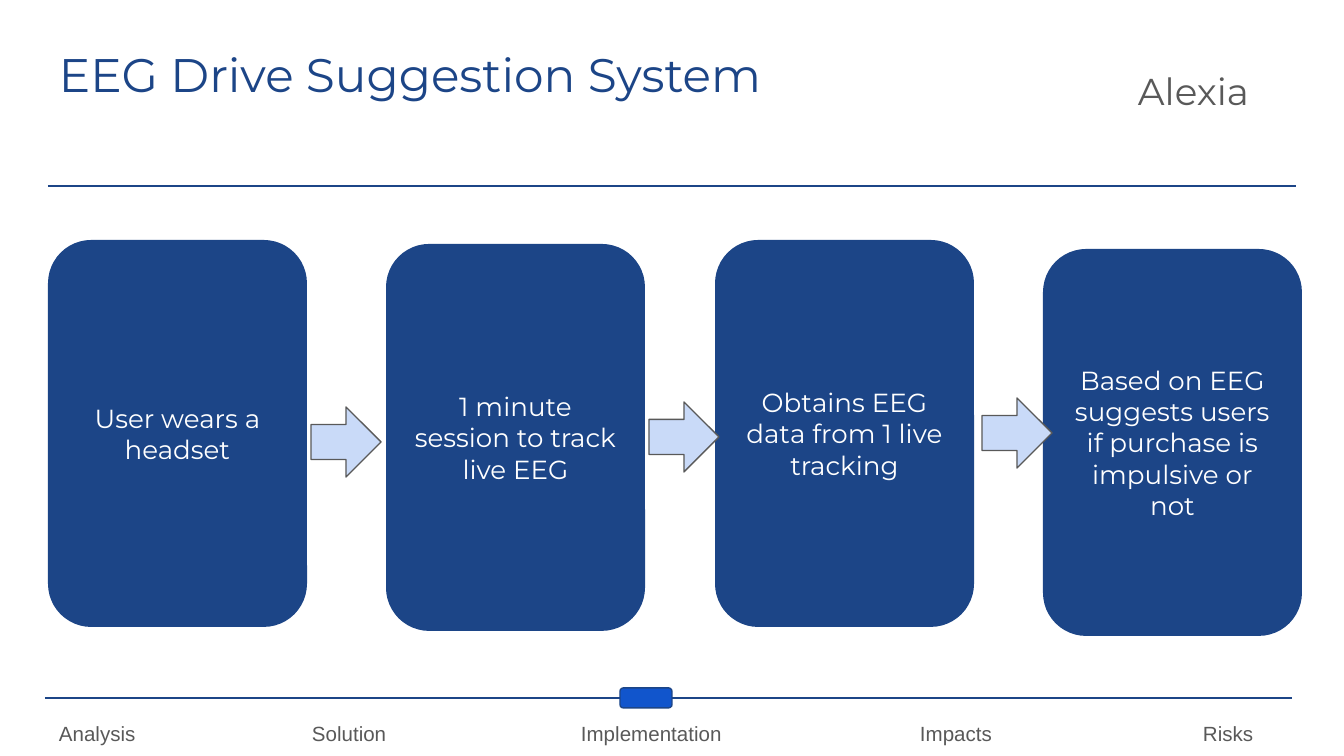
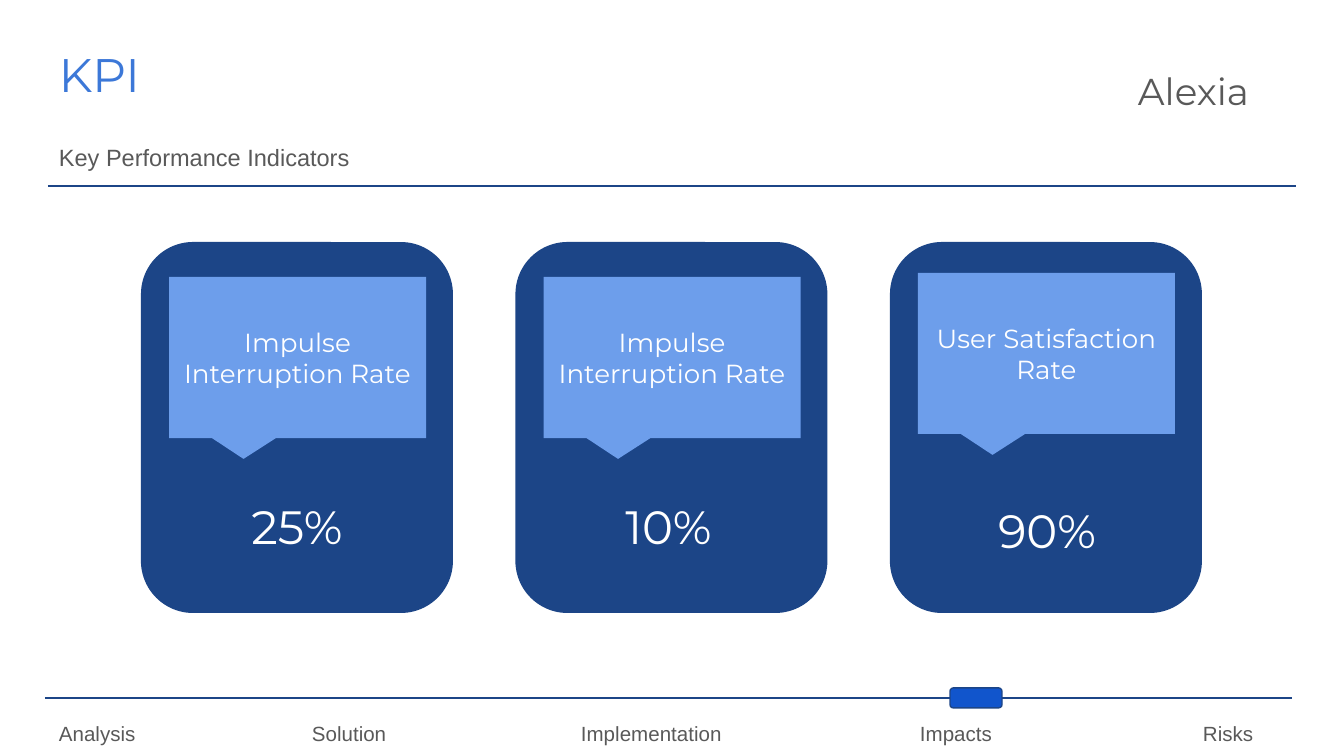
import pptx
import pptx.util
import pptx.dml.color
import pptx.enum.shapes
import pptx.enum.text
import pptx.oxml
import pptx.oxml.ns
import lxml.etree

RGB = pptx.dml.color.RGBColor
SHAPE = pptx.enum.shapes.MSO_SHAPE
ALIGN = pptx.enum.text.PP_ALIGN
ANCHOR = pptx.enum.text.MSO_ANCHOR

NAVY = RGB(0x1C, 0x45, 0x87)
BLUE = RGB(0x3C, 0x78, 0xD8)
MARKER_BLUE = RGB(0x11, 0x55, 0xCC)
SKY = RGB(0x6D, 0x9E, 0xEB)
PALE = RGB(0xC9, 0xDA, 0xF8)
GREY = RGB(0x59, 0x59, 0x59)
WHITE = RGB(0xFF, 0xFF, 0xFF)

HEADING_FONT = "Montserrat"
BODY_FONT = "Arial"
PX_PER_INCH = 134.4
INSET = 13
ROUNDING = 0.167

# Section names with their left edges inside the footer text
SECTIONS = {"Analysis": 0, "Solution": 253, "Implementation": 522,
            "Impacts": 861, "Risks": 1144}
MARKER_LEFT = {"Implementation": 620, "Impacts": 950}


def px(length):
    return pptx.util.Emu(round(length * 914400 / PX_PER_INCH))


def set_text(shape, text, size, color, font=HEADING_FONT, align=ALIGN.LEFT,
             anchor=ANCHOR.TOP, spacing=None, tabs=()):
    frame = shape.text_frame
    frame.word_wrap = True
    frame.vertical_anchor = anchor
    frame.margin_left = frame.margin_right = px(INSET)
    frame.margin_top = frame.margin_bottom = px(INSET)
    frame.text = text
    paragraph = frame.paragraphs[0]
    paragraph.alignment = align
    if spacing:
        paragraph.line_spacing = spacing
    if tabs:
        qn = pptx.oxml.ns.qn
        tab_list = lxml.etree.SubElement(paragraph._p.get_or_add_pPr(), qn("a:tabLst"))
        for stop in tabs:
            lxml.etree.SubElement(tab_list, qn("a:tab"), pos=str(px(stop)), algn="l")
    for run in paragraph.runs:
        run.font.name = font
        run.font.size = pptx.util.Pt(size)
        run.font.color.rgb = color


def add_text(slide, box, text, size, color, **style):
    set_text(slide.shapes.add_textbox(*map(px, box)), text, size, color, **style)


def add_block(slide, kind, box, fill, outline=None, adjustments=()):
    block = slide.shapes.add_shape(kind, *map(px, box))
    block.shadow.inherit = False
    block.fill.solid()
    block.fill.fore_color.rgb = fill
    if outline is None:
        block.line.fill.background()
    else:
        block.line.color.rgb = outline
        block.line.width = pptx.util.Pt(0.75)
    for index, value in enumerate(adjustments):
        block.adjustments[index] = value
    return block


def add_rule(slide, left, top, width):
    rule = slide.shapes.add_connector(
        pptx.enum.shapes.MSO_CONNECTOR.STRAIGHT,
        px(left), px(top), px(left + width), px(top))
    rule.line.color.rgb = NAVY
    rule.line.width = pptx.util.Pt(1.5)
    lxml.etree.SubElement(rule._element.spPr, pptx.oxml.ns.qn("a:effectLst"))


def add_header(slide, box, title, color, subtitle=None):
    left, top, width, height = box
    add_text(slide, (left, top, width, 85), title, 25.2, color)
    if subtitle:
        add_text(slide, (left, top + 100, width, 55), subtitle, 12.6, GREY,
                 font=BODY_FONT, spacing=0.95)
    add_rule(slide, left + 2, top + height, 1248)
    # Presenter
    add_text(slide, (left + width - 174, top + 28, 174, 89), "Alexia", 20, GREY,
             spacing=0.9)


def add_footer(slide, box, section):
    left, top, width, height = box
    add_rule(slide, left - 1, top, 1247)
    add_text(slide, (left, top + 13, width, height), "\t".join(SECTIONS), 11, GREY,
             font=BODY_FONT, spacing=0.95, tabs=list(SECTIONS.values())[1:])
    # Progress marker
    add_block(slide, SHAPE.ROUNDED_RECTANGLE, (MARKER_LEFT[section], top - 10, 52, 20),
              MARKER_BLUE, NAVY, [ROUNDING])


def add_frame(deck, title, color, section, subtitle=None):
    slide = deck.slides.add_slide(deck.slide_layouts[6])
    add_header(slide, (46, 32, 1253, 154), title, color, subtitle)
    add_footer(slide, (46, 698, 1253, 55), section)
    return slide


def add_steps(slide, box):
    left, top, width, height = box
    # Offset of each step from the corner of the region, and its text
    steps = [
        (0, 0, "User wears a headset"),
        (338, 4, "1 minute session to track live EEG"),
        (667, 0, "Obtains EEG data from 1 live tracking"),
        (995, 9, "Based on EEG suggests users if purchase is impulsive or not"),
    ]
    step_width = width - steps[-1][0]
    for across, down, text in steps:
        step = add_block(slide, SHAPE.ROUNDED_RECTANGLE,
                         (left + across, top + down, step_width, height),
                         NAVY, adjustments=[ROUNDING])
        set_text(step, text, 14, WHITE, align=ALIGN.CENTER, anchor=ANCHOR.MIDDLE)
    # Arrows between the steps
    for across, down in [(263, 167), (601, 162), (934, 158)]:
        add_block(slide, SHAPE.RIGHT_ARROW, (left + across, top + down, 70, 70),
                  PALE, GREY, [0.5, 0.5])


def add_kpi_card(slide, box, label, value, label_top, value_left, value_top):
    left, top, width, height = box
    add_block(slide, SHAPE.ROUNDED_RECTANGLE, box, NAVY, adjustments=[ROUNDING])
    callout = add_block(slide, SHAPE.ROUNDED_RECTANGULAR_CALLOUT,
                        (left + 28, top + label_top, width - 55, 161), SKY,
                        adjustments=[-0.21, 0.63, 0])
    set_text(callout, label, 14, WHITE, align=ALIGN.CENTER, anchor=ANCHOR.MIDDLE)
    add_text(slide, (left + value_left, top + value_top, 234, 89), value, 25, WHITE,
             align=ALIGN.CENTER)


def add_kpis(slide, box):
    left, top, width, height = box
    kpis = [
        ("Impulse Interruption Rate", "25%", 35, 39, 243),
        ("Impulse Interruption Rate", "10%", 35, 36, 243),
        ("User Satisfaction Rate", "90%", 31, 40, 247),
    ]
    card_width = 312
    pitch = (width - card_width) / (len(kpis) - 1)
    for index, kpi in enumerate(kpis):
        add_kpi_card(slide, (left + index * pitch, top, card_width, height), *kpi)


def main():
    deck = pptx.Presentation()
    deck.slide_width, deck.slide_height = px(1344), px(756)

    system = add_frame(deck, "EEG Drive Suggestion System", NAVY, "Implementation")
    add_steps(system, (48, 240, 1254, 387))

    indicators = add_frame(deck, "KPI", BLUE, "Impacts", "Key Performance Indicators")
    add_kpis(indicators, (141, 242, 1061, 371))

    deck.save("out.pptx")


if __name__ == "__main__":
    main()
